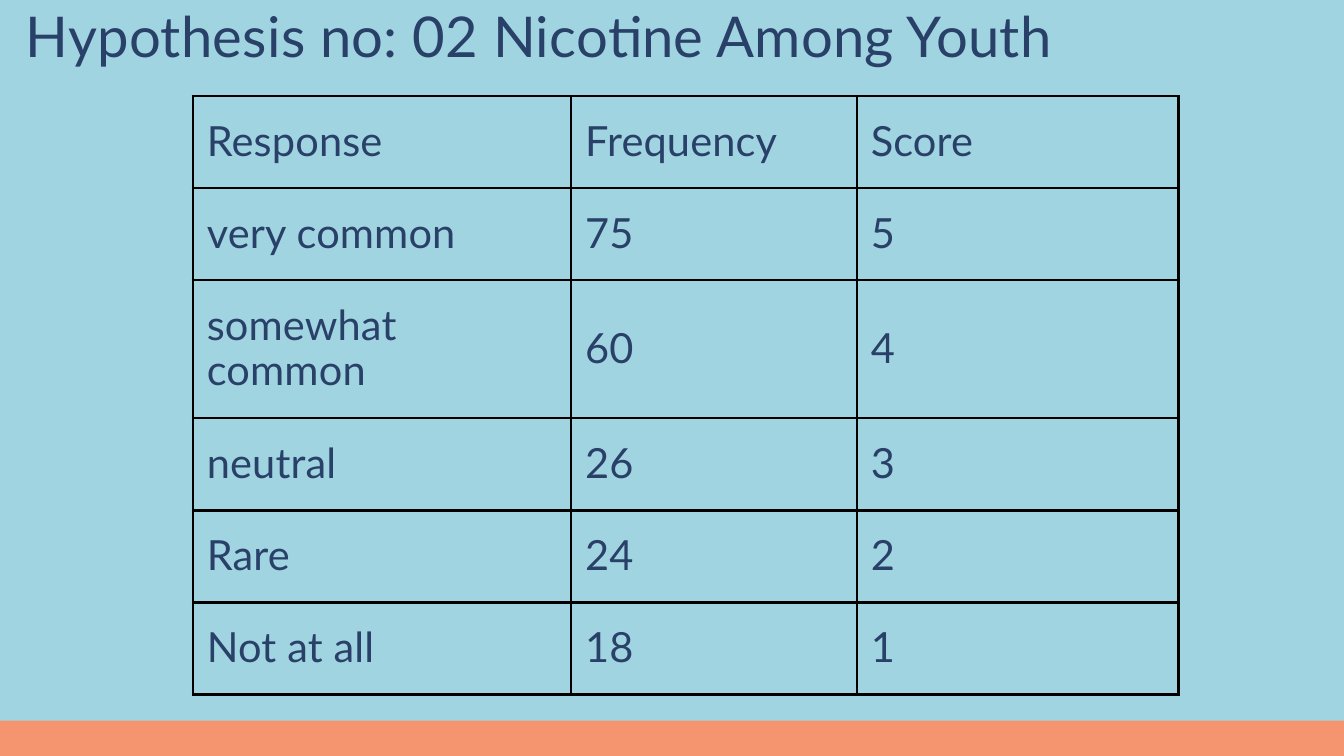
from lxml import etree
from pptx import Presentation
from pptx import util as u
from pptx.dml.color import RGBColor
from pptx.enum import shapes, text
from pptx.oxml.ns import qn

SKY, CORAL, NAVY, BLACK = "A1D4E1", "F4956F", "294069", "000000"
PAGE_WIDTH, PAGE_HEIGHT, BAND_HEIGHT = 1440, 810, 38
TITLE_STYLE = {"size": 60.2, "leading": 66.2, "tracking": 30}
CELL_STYLE = {"size": 44.5, "leading": 49, "tracking": 20}
ROWS = [
    ("Response", "Frequency", "Score"),
    ("very common", "75", "5"),
    ("somewhat common", "60", "4"),
    ("neutral", "26", "3"),
    ("Rare", "24", "2"),
    ("Not at all", "18", "1"),
]
COLUMN_WIDTHS = [405.4, 306, 344.8]
ROW_HEIGHTS = [98.6, 98.6, 147.6, 99.2, 98.6, 98.6]


def paint(fill, color):
    fill.solid()
    fill.fore_color.rgb = RGBColor.from_string(color)


def apply_format(target, values):
    for name, value in values.items():
        setattr(target, name, value)


def write(para, words, style):
    """Fill a paragraph; tracking is in hundredths of a point."""
    para.line_spacing = u.Pt(style["leading"])
    span = para.add_run()
    span.text = words
    apply_format(span.font, {"name": "Lato", "size": u.Pt(style["size"])})
    paint(span.font.fill, NAVY)
    span.font._element.set("spc", str(style["tracking"]))


def add_panel(page, box, color):
    panel = page.shapes.add_shape(shapes.MSO_SHAPE.RECTANGLE, *map(u.Pt, box))
    panel.shadow.inherit = False
    paint(panel.fill, color)
    panel.line.fill.background()


def add_title(page, box, words):
    frame = page.shapes.add_textbox(*map(u.Pt, box)).text_frame
    sides = ("left", "top", "right", "bottom")
    apply_format(frame, {f"margin_{side}": 0 for side in sides})
    apply_format(frame, {"word_wrap": True,
                         "auto_size": text.MSO_AUTO_SIZE.SHAPE_TO_FIT_TEXT})
    write(frame.paragraphs[0], words, TITLE_STYLE)


def add_borders(cell, color, width):
    properties = cell._tc.get_or_add_tcPr()
    for position, side in enumerate(("lnL", "lnR", "lnT", "lnB")):
        line = etree.Element(qn(f"a:{side}"), w=str(u.Pt(width)))
        fill = etree.SubElement(line, qn("a:solidFill"))
        etree.SubElement(fill, qn("a:srgbClr"), val=color)
        properties.insert(position, line)


def add_response_table(page, left, top):
    width, height = sum(COLUMN_WIDTHS), sum(ROW_HEIGHTS)
    table = page.shapes.add_table(len(ROWS), len(COLUMN_WIDTHS),
                                  *map(u.Pt, (left, top, width, height))).table
    apply_format(table, {"first_row": False, "horz_banding": False})
    for column, size in zip(table.columns, COLUMN_WIDTHS):
        column.width = u.Pt(size)
    for row, size, entries in zip(table.rows, ROW_HEIGHTS, ROWS):
        row.height = u.Pt(size)
        for cell, words in zip(row.cells, entries):
            sides = ("left", "top", "right", "bottom")
            apply_format(cell, {f"margin_{side}": u.Pt(15) for side in sides})
            cell.vertical_anchor = text.MSO_ANCHOR.MIDDLE
            cell.fill.background()
            add_borders(cell, BLACK, 3)
            write(cell.text_frame.paragraphs[0], words, CELL_STYLE)


def main():
    deck = Presentation()
    apply_format(deck, {"slide_width": u.Pt(PAGE_WIDTH),
                        "slide_height": u.Pt(PAGE_HEIGHT)})
    page = deck.slides.add_slide(deck.slide_layouts[6])
    paint(page.background.fill, "E7F1F4")
    add_panel(page, (0, 0, PAGE_WIDTH, PAGE_HEIGHT), SKY)
    add_title(page, (27.4, 8, 1105, 67), "Hypothesis no: 02 Nicotine Among Youth")
    add_panel(page, (0, PAGE_HEIGHT - BAND_HEIGHT, PAGE_WIDTH, BAND_HEIGHT), CORAL)
    add_response_table(page, 206.6, 103)
    deck.save("out.pptx")


if __name__ == "__main__":
    main()
